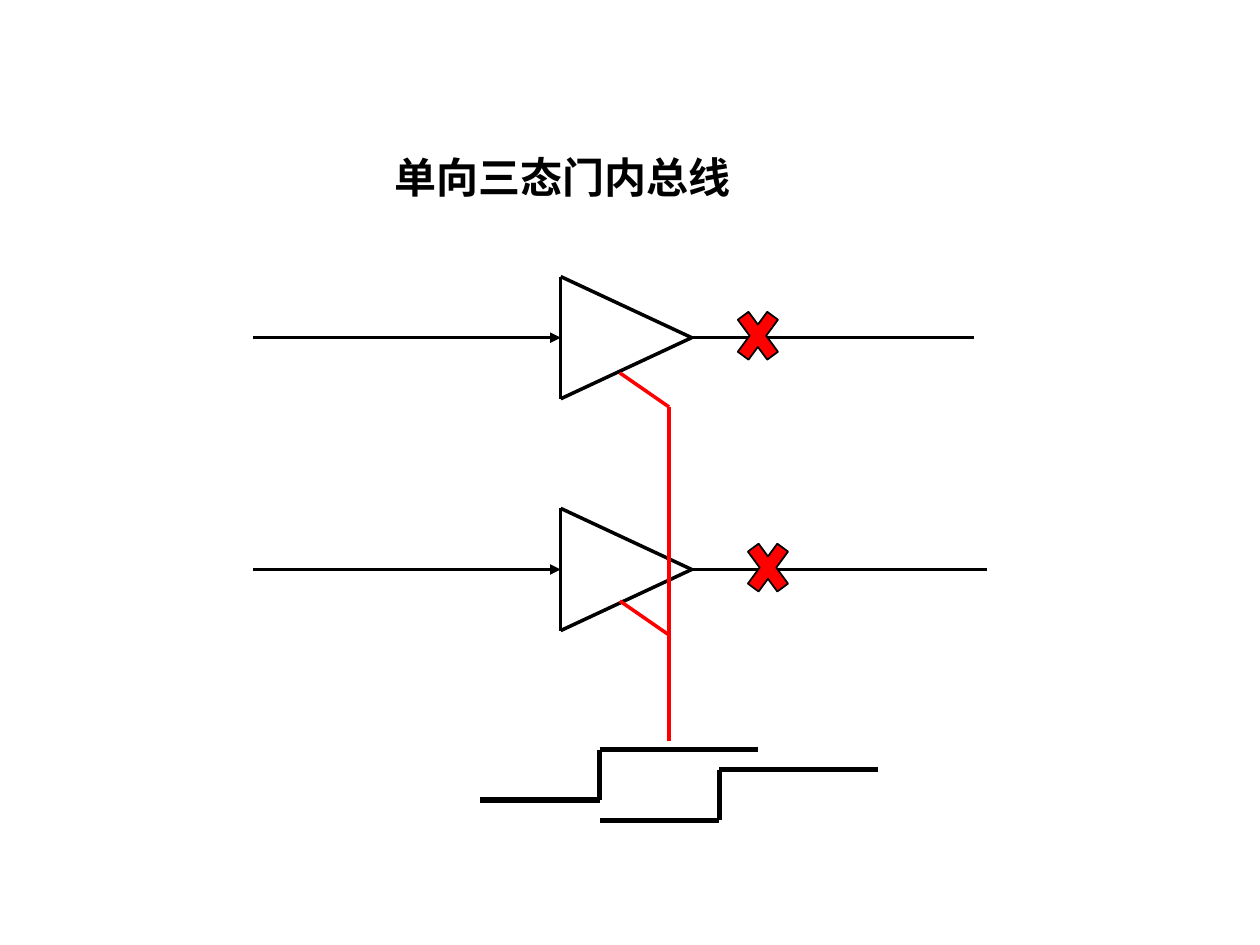
from itertools import pairwise

from lxml.etree import SubElement
from pptx import Presentation
from pptx.dml.color import RGBColor
from pptx.enum.shapes import MSO_CONNECTOR, MSO_SHAPE
from pptx.enum.text import MSO_ANCHOR, PP_ALIGN
from pptx.oxml.ns import qn
from pptx.util import Inches, Pt

FONT = "Noto Sans CJK SC"
COLORS = {"ink": "000000", "enable": "FF0000"}


def color(name):
    return RGBColor.from_string(COLORS[name])


def add_line(slide, start, end, hue="ink", width=2, arrow=False):
    line = slide.shapes.add_connector(
        MSO_CONNECTOR.STRAIGHT, *map(Inches, (*start, *end)))
    line.line.color.rgb = color(hue)
    line.line.width = Pt(width)
    props = line._element.spPr
    if arrow:
        SubElement(props.find(qn("a:ln")), qn("a:tailEnd"), type="triangle")
    SubElement(props, qn("a:effectLst"))


def add_path(slide, points, **style):
    """Join the points in turn with straight lines."""
    for start, end in pairwise(points):
        add_line(slide, start, end, **style)


def add_gate(slide, y, end):
    """Draw a buffer with its input and output at height y."""
    back, tip, half = 4.45, 5.49, 0.485
    top, base = (back, y - half), (back, y + half)
    add_path(slide, [base, top, (tip, y), base])
    add_line(slide, (2.01, y), (back, y), arrow=True)
    add_line(slide, (tip, y), (end, y))


def add_step(slide, x, y):
    """Draw a rising edge that starts at x, y."""
    rise, high = x + 0.95, y - 0.4
    add_path(slide, [(x, y), (rise, y), (rise, high), (rise + 1.26, high)],
             width=3)


def add_enable(slide):
    x = 5.31
    add_line(slide, (x, 3.23), (x, 5.88), hue="enable")
    for y in (2.96, 4.77):
        add_line(slide, (4.92, y), (x, y + 0.27), hue="enable")


def add_cross(slide, x, y):
    cross = slide.shapes.add_shape(
        MSO_SHAPE.MATH_MULTIPLY, *map(Inches, (x, y, 0.45, 0.61)))
    cross.shadow.inherit = False
    cross.fill.solid()
    cross.fill.fore_color.rgb = color("enable")
    cross.line.color.rgb = color("ink")
    cross.line.width = Pt(1)


def set_title(slide, text):
    title = slide.shapes.title
    title.left, title.top, title.width, title.height = map(
        Inches, (3.03, 1.15, 3.39, 0.5))
    frame = title.text_frame
    frame.text = text
    frame.vertical_anchor = MSO_ANCHOR.TOP
    para = frame.paragraphs[0]
    para.alignment = PP_ALIGN.LEFT
    run = para.runs[0]
    run.font.size = Pt(24)
    run.font.bold = True
    run.font.color.rgb = color("ink")
    run.font.name = FONT
    SubElement(run.font._element, qn("a:ea"), typeface=FONT)


def main():
    deck = Presentation()
    deck.slide_width, deck.slide_height = Inches(10), Inches(7.5)
    slide = deck.slides.add_slide(deck.slide_layouts[5])
    set_title(slide, "单向三态门内总线")
    for y, end in ((2.68, 7.73), (4.52, 7.83)):
        add_gate(slide, y, end)
    for x, y in ((4.76, 6.51), (3.81, 6.35)):
        add_step(slide, x, y)
    add_enable(slide)
    for x, y in ((5.79, 2.36), (5.87, 4.2)):
        add_cross(slide, x, y)
    deck.save("out.pptx")


if __name__ == "__main__":
    main()
